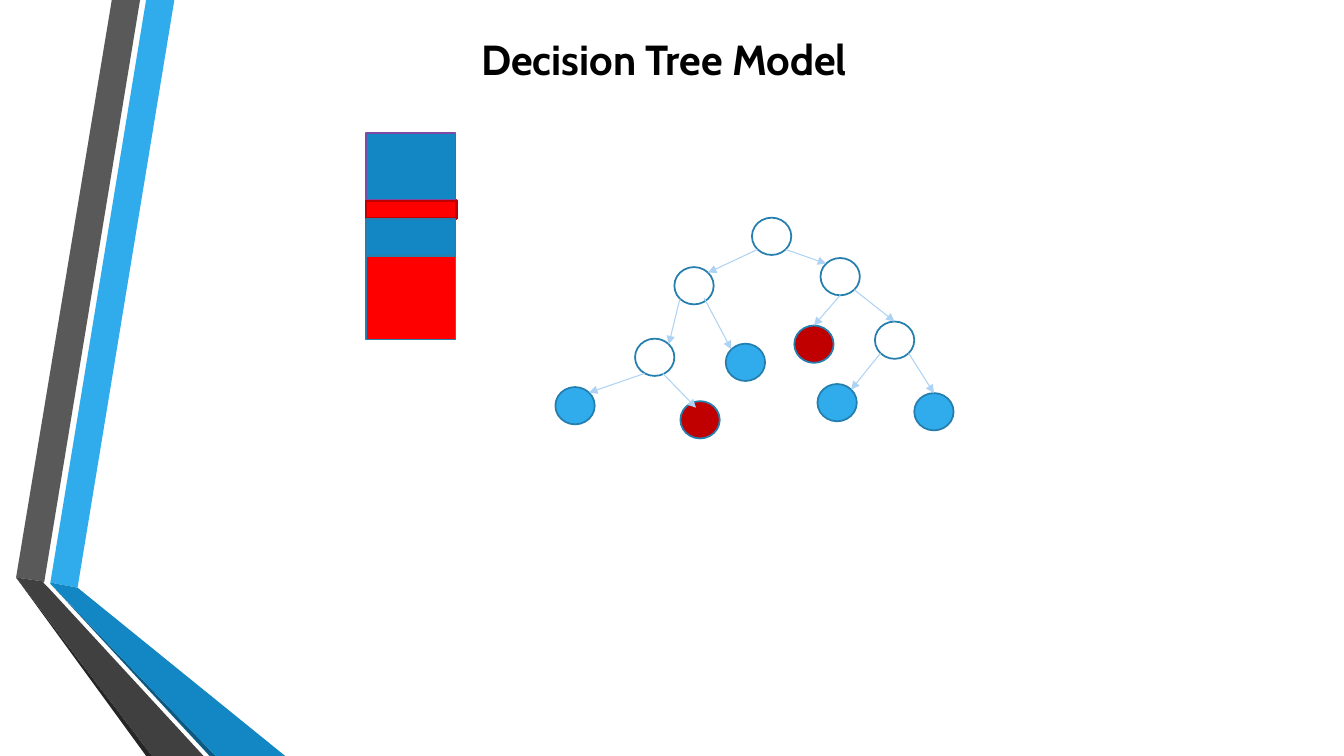
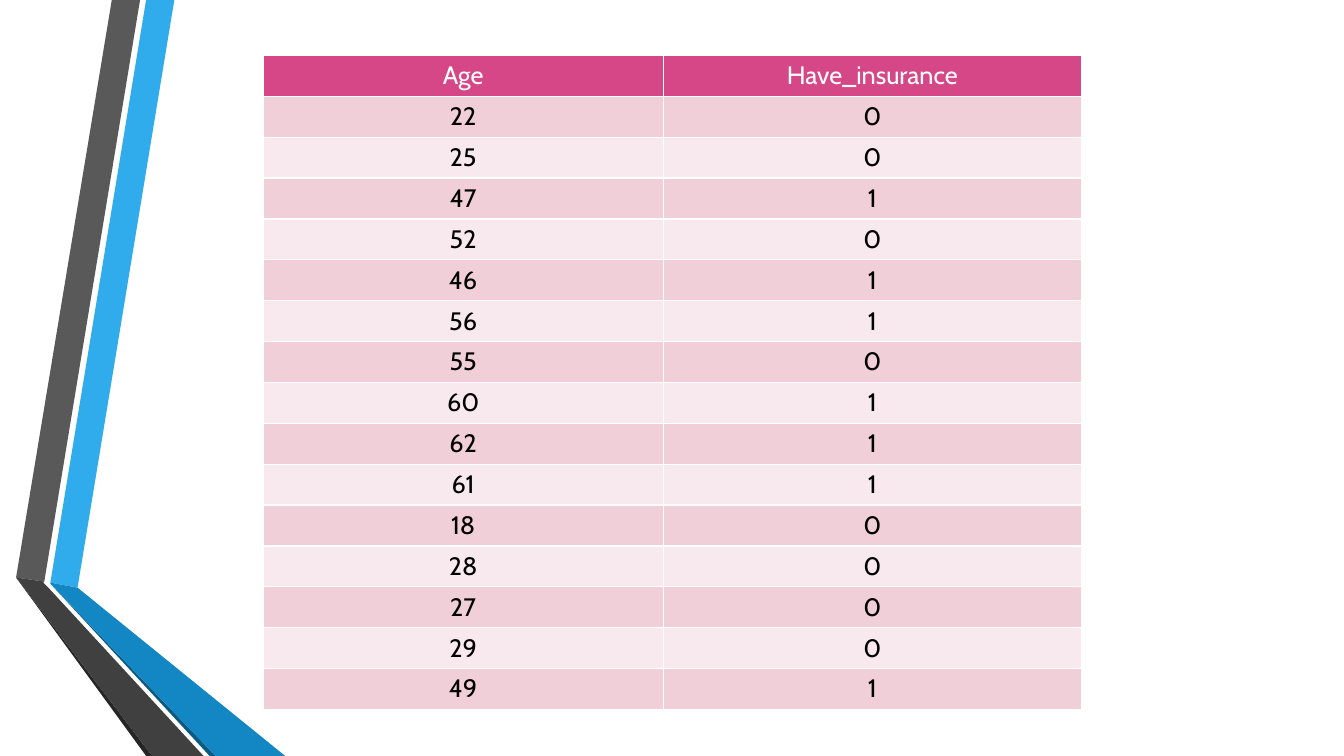
from pptx import Presentation
from pptx import util as u
from pptx.dml.color import RGBColor
from pptx.enum import shapes, text
from pptx.oxml.ns import qn
from lxml import etree

EMU_PER_PX = 9144  # 100 px to the inch
FONT = "Cabin"
BLACK, WHITE = "000000", "FFFFFF"
SKY, BLUE, OUTLINE, ARROW = "30ACEC", "1287C3", "247FAF", "AED2F4"
RED, DARK_RED, PURPLE = "FF0000", "C00000", "7B4BA6"
PINK_HEADER, PINK_BANDS = "D64787", ("F0CFD9", "F7E9ED")

# Side ribbon: fill, corner points
RIBBON = [
    (SKY, [(50, 578), (77, 583), (173, 0), (145, 0)]),
    ("595959", [(139, 0), (111, 0), (16, 573), (44, 577)]),
    ("262626", [(16, 573), (145, 750), (151, 750)]),
    ("0C5A82", [(50, 579), (208, 750), (214, 750)]),
    (BLUE, [(50, 578), (50, 579), (214, 750), (283, 750), (77, 583)]),
    ("404040", [(202, 750), (48, 583), (43, 578), (44, 577), (16, 573), (151, 750)]),
]

TITLE = "Decision Tree Model"
TITLE_BOX = (452, 28, 414, 61)

# Stacked bar: box, fill, line colour, line width
BAR_PARTS = [
    ((363, 199, 90, 18), RED, DARK_RED, 1.75),
    ((363, 217, 89, 66), BLUE, OUTLINE, 1.25),
    ((363, 132, 89, 66), BLUE, PURPLE, 1.25),
    ((363, 254, 89, 83), RED, OUTLINE, 1.25),
]

# Tree nodes: left, top, fill
NODE_WIDTH, NODE_HEIGHT = 39, 37
NODES = {
    "root": (746, 216, WHITE),
    "right": (814, 256, WHITE),
    "right red": (788, 323, DARK_RED),
    "far right": (868, 319, WHITE),
    "middle blue": (720, 341, SKY),
    "right blue": (811, 381, SKY),
    "left": (669, 265, WHITE),
    "left red": (675, 398, DARK_RED),
    "far right blue": (907, 390, SKY),
    "far left blue": (551, 384, SKY),
    "far left": (630, 336, WHITE),
}

# Points on a node's rim, measured from its centre
TOP, BOTTOM = (0, -18.5), (0, 18.5)
TOP_LEFT, TOP_RIGHT = (-14, -13), (14, -13)
BOTTOM_LEFT, BOTTOM_RIGHT = (-14, 13), (14, 13)

# Tree arrows: parent, start point, child, end point
EDGES = [
    ("root", BOTTOM_LEFT, "left", TOP_RIGHT),
    ("left", BOTTOM_LEFT, "far left", TOP_RIGHT),
    ("far left", (-10, 16), "far left blue", TOP_RIGHT),
    ("far left", (8, 16), "left red", (-4, -12)),
    ("left", (10, 12), "middle blue", TOP_LEFT),
    ("root", BOTTOM_RIGHT, "right", TOP_LEFT),
    ("right", BOTTOM, "right red", TOP),
    ("far right", BOTTOM_RIGHT, "far right blue", TOP),
    ("right", BOTTOM_RIGHT, "far right", TOP),
    ("far right", BOTTOM_LEFT, "right blue", TOP_RIGHT),
]

TABLE_LEFT, TABLE_TOP = 261, 55
COLUMN_WIDTHS = (397, 415)
ROW_HEIGHT = 40
TABLE_ROWS = [
    ("Age", "Have_insurance"),
    (22, 0), (25, 0), (47, 1), (52, 0), (46, 1),
    (56, 1), (55, 0), (60, 1), (62, 1), (61, 1),
    (18, 0), (28, 0), (27, 0), (29, 0), (49, 1),
]


def px(length):
    return u.Emu(round(length * EMU_PER_PX))


def color(hex_string):
    return RGBColor.from_string(hex_string)


def paint(shape, fill, line=None, width=0):
    """Give a shape a flat fill and an outline, or none, without shadow."""
    shape.shadow.inherit = False
    shape.fill.solid()
    shape.fill.fore_color.rgb = color(fill)
    if line:
        shape.line.color.rgb = color(line)
        shape.line.width = u.Pt(width)
    else:
        shape.line.fill.background()


def style_text(paragraph, size, hex_string, bold=False):
    paragraph.alignment = text.PP_ALIGN.CENTER
    font = paragraph.font
    font.name, font.size, font.bold = FONT, u.Pt(size), bold
    font.color.rgb = color(hex_string)


def add_slide(presentation):
    """Add a blank slide with the ribbon that all slides share."""
    slide = presentation.slides.add_slide(presentation.slide_layouts[6])
    ribbon = slide.shapes.add_group_shape()
    for fill, points in RIBBON:
        builder = ribbon.shapes.build_freeform(*points[0], scale=EMU_PER_PX)
        builder.add_line_segments(points[1:], close=True)
        paint(builder.convert_to_shape(), fill)
    return slide


def add_box(slide, kind, box, fill, line, width):
    shape = slide.shapes.add_shape(kind, *map(px, box))
    paint(shape, fill, line, width)


def add_title(slide):
    frame = slide.shapes.add_textbox(*map(px, TITLE_BOX)).text_frame
    frame.word_wrap = True
    frame.text = TITLE
    style_text(frame.paragraphs[0], 30, BLACK, bold=True)


def rim_point(name, offset):
    left, top, _ = NODES[name]
    return (px(left + NODE_WIDTH / 2 + offset[0]),
            px(top + NODE_HEIGHT / 2 + offset[1]))


def add_arrow(slide, start, end):
    arrow = slide.shapes.add_connector(shapes.MSO_CONNECTOR.STRAIGHT, *start, *end)
    arrow.line.color.rgb = color(ARROW)
    arrow.line.width = u.Pt(0.75)
    etree.SubElement(arrow.line._get_or_add_ln(), qn("a:tailEnd"), type="triangle")
    etree.SubElement(arrow._element.spPr, qn("a:effectLst"))


def add_tree(slide):
    for left, top, fill in NODES.values():
        add_box(slide, shapes.MSO_SHAPE.FLOWCHART_CONNECTOR,
                (left, top, NODE_WIDTH, NODE_HEIGHT), fill, OUTLINE, 1.25)
    for parent, start, child, end in EDGES:
        add_arrow(slide, rim_point(parent, start), rim_point(child, end))


def add_cell_borders(cell):
    """Draw a white 1 pt line on each side; borders must precede the fill."""
    properties = cell._tc.get_or_add_tcPr()
    for index, side in enumerate(("lnL", "lnR", "lnT", "lnB")):
        line = etree.Element(qn(f"a:{side}"), w=str(u.Pt(1)))
        fill = etree.SubElement(line, qn("a:solidFill"))
        etree.SubElement(fill, qn("a:srgbClr"), val=WHITE)
        properties.insert(index, line)


def add_data_table(slide):
    table = slide.shapes.add_table(
        len(TABLE_ROWS), len(COLUMN_WIDTHS), px(TABLE_LEFT), px(TABLE_TOP),
        px(sum(COLUMN_WIDTHS)), px(ROW_HEIGHT * len(TABLE_ROWS))).table
    table.horz_banding = False
    for column, width in zip(table.columns, COLUMN_WIDTHS):
        column.width = px(width)
    for row, values in enumerate(TABLE_ROWS):
        is_header = row == 0
        fill = PINK_HEADER if is_header else PINK_BANDS[(row - 1) % 2]
        for column, value in enumerate(values):
            cell = table.cell(row, column)
            cell.text = str(value)
            style_text(cell.text_frame.paragraphs[0], 18, WHITE if is_header else BLACK)
            cell.fill.solid()
            cell.fill.fore_color.rgb = color(fill)
            add_cell_borders(cell)


def main():
    presentation = Presentation()
    presentation.slide_width, presentation.slide_height = px(1333.33), px(750)

    tree_slide = add_slide(presentation)
    for part in BAR_PARTS:
        add_box(tree_slide, shapes.MSO_SHAPE.RECTANGLE, *part)
    add_tree(tree_slide)
    add_title(tree_slide)

    table_slide = add_slide(presentation)
    add_data_table(table_slide)

    presentation.save("out.pptx")


if __name__ == "__main__":
    main()
